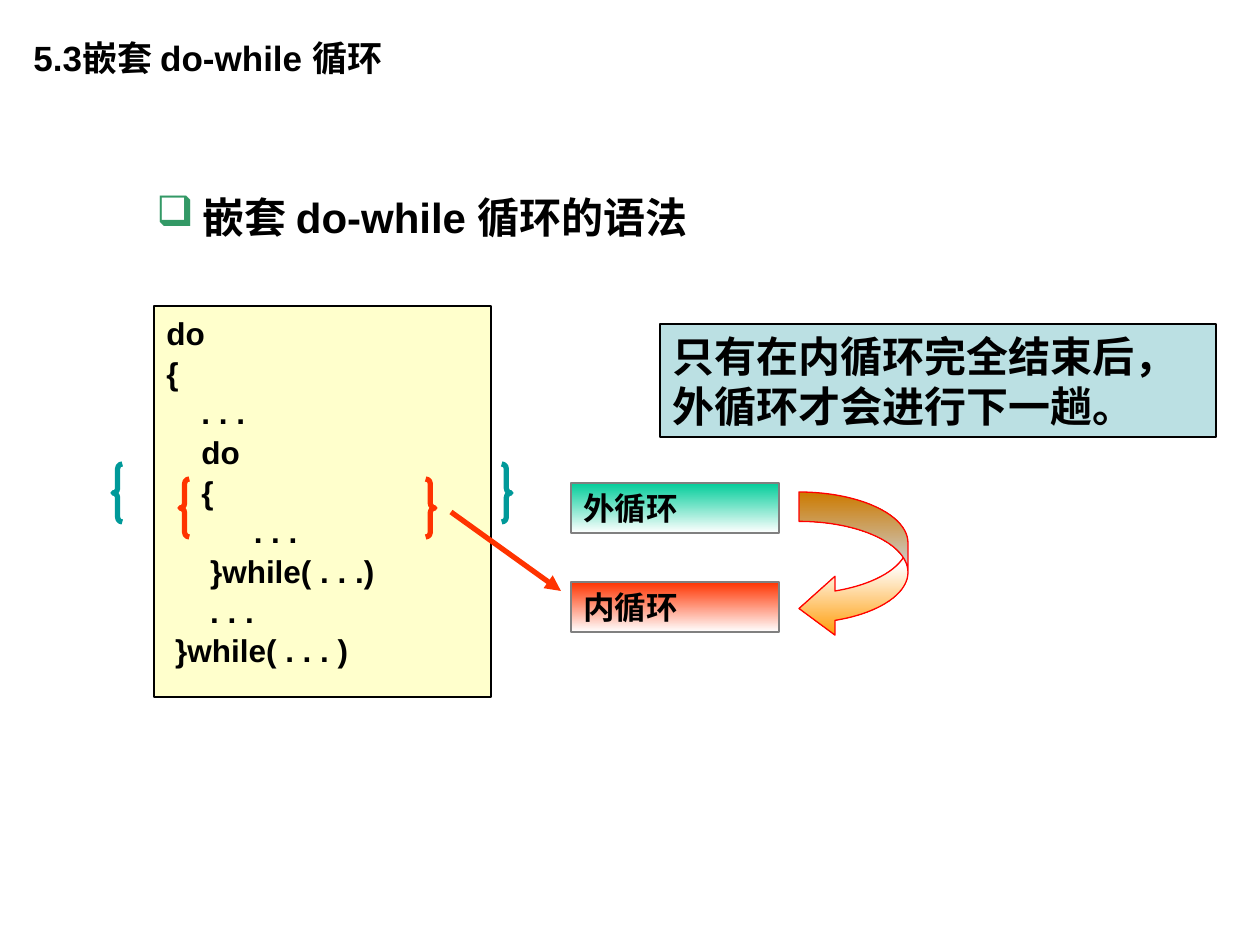
import copy

import pptx
import pptx.dml.color
import pptx.enum.shapes
import pptx.enum.text
import pptx.oxml
import pptx.oxml.ns
import pptx.util

SHAPE = pptx.enum.shapes.MSO_SHAPE
ANCHOR = pptx.enum.text.MSO_ANCHOR
ALIGN = pptx.enum.text.PP_ALIGN
qn = pptx.oxml.ns.qn
PX = 914400 // 126

THEME = {
    "font": "Arial", "ink": "000000", "bullet": "339966",
    "code": "FFFFCC", "note": "BBE0E3", "label_line": "808080",
    "outer": ["00CC99", "FFFFFF"], "inner": ["FF3300", "FFFFFF"],
    "outer_brace": "009999", "inner_brace": "FF3300",
    "turn": ["FF9900", "FFFFFF", "FF9900"], "turn_line": "FF0000",
    "title_size": 20, "head_size": 24, "body_size": 18,
}

TITLE = "5.3嵌套 do-while 循环"
HEADING = "嵌套 do-while 循环的语法"
NOTE = "只有在内循环完全结束后，外循环才会进行下一趟。"
CODE = [
    "do",
    "{",
    "    . . .",
    "    do",
    "    {",
    "          . . .",
    "     }while( . . .)",
    "     . . .",
    " }while( . . . )",
]
LABELS = [("外循环", "outer"), ("内循环", "inner")]
BRACES = [((113, 464, 398, 58), "outer_brace"), ((180, 479, 255, 58), "inner_brace")]
LABEL_BOX = (571, 483, 208, 50)
LABEL_STEP = 99
BULLET_INDENT = 46


def px(*values):
    return [pptx.util.Emu(v * PX) for v in values]


def rgb(name):
    return pptx.dml.color.RGBColor.from_string(THEME.get(name, name))


def put_text(sp, lines, size, anchor=ANCHOR.MIDDLE, spacing=None):
    tf = sp.text_frame
    for key, value in {"word_wrap": True, "vertical_anchor": anchor}.items():
        setattr(tf, key, value)
    for i, line in enumerate(lines):
        p = tf.add_paragraph() if i else tf.paragraphs[0]
        p.alignment = ALIGN.LEFT
        if spacing:
            p.line_spacing = spacing
        r = p.add_run()
        r.text = line
        font = {"name": THEME["font"], "size": pptx.util.Pt(THEME[size]), "bold": True}
        for key, value in font.items():
            setattr(r.font, key, value)
        r.font.color.rgb = rgb("ink")
    return tf


def add_bullet(p):
    pPr = p._p.get_or_add_pPr()
    indent = BULLET_INDENT * PX
    pPr.set("marL", str(indent))
    pPr.set("indent", str(-indent))
    color = pptx.oxml.parse_xml(
        '<a:buClr xmlns:a="http://schemas.openxmlformats.org/drawingml/2006/main">'
        f'<a:srgbClr val="{THEME["bullet"]}"/></a:buClr>')
    pPr.append(color)
    pPr.append(pPr.makeelement(qn("a:buChar"), {"char": "❑"}))


def fill_gradient(sp, colors):
    sp.fill.gradient()
    sp.fill.gradient_angle = 270
    stops = sp._element.spPr.find(qn("a:gradFill")).find(qn("a:gsLst"))
    while len(stops) < len(colors):
        stops.append(copy.deepcopy(stops[-1]))
    for i, (stop, color) in enumerate(zip(sp.fill.gradient_stops, colors)):
        stop.position = i / (len(colors) - 1)
        stop.color.rgb = rgb(color)


def add_shape(s, kind, box, line, width, fill=None):
    sp = s.shapes.add_shape(kind, *px(*box))
    sp.shadow.inherit = False
    sp.line.color.rgb = rgb(line)
    sp.line.width = pptx.util.Pt(width)
    if fill is None:
        sp.fill.background()
    elif isinstance(THEME[fill], list):
        fill_gradient(sp, THEME[fill])
    else:
        sp.fill.solid()
        sp.fill.fore_color.rgb = rgb(fill)
    return sp


def add_arrow(s, start, end, color, width):
    sp = s.shapes.add_connector(
        pptx.enum.shapes.MSO_CONNECTOR.STRAIGHT, *px(*start, *end))
    sp.line.color.rgb = rgb(color)
    sp.line.width = pptx.util.Pt(width)
    ln = sp.line._get_or_add_ln()
    ln.append(ln.makeelement(qn("a:tailEnd"), {"type": "triangle"}))
    spPr = sp._element.spPr
    spPr.append(spPr.makeelement(qn("a:effectLst"), {}))


def main():
    prs = pptx.Presentation()
    prs.slide_width, prs.slide_height = px(1260, 945)
    s = prs.slides.add_slide(prs.slide_layouts[6])

    put_text(s.shapes.add_textbox(*px(21, 0, 945, 116)), [TITLE], "title_size")
    tf = put_text(s.shapes.add_textbox(*px(144, 185, 873, 63)), [HEADING], "head_size")
    add_bullet(tf.paragraphs[0])

    code = add_shape(s, SHAPE.RECTANGLE, (154, 306, 337, 391), "ink", 1.5, "code")
    put_text(code, CODE, "body_size", ANCHOR.TOP, 1.05)

    for box, color in BRACES:
        brace = add_shape(s, SHAPE.DOUBLE_BRACE, box, color, 3)
        brace.adjustments[0] = 0.08

    x, y, w, h = LABEL_BOX
    for i, (text, fill) in enumerate(LABELS):
        box = (x, y + i * LABEL_STEP, w, h)
        label = add_shape(s, SHAPE.RECTANGLE, box, "label_line", 1, fill)
        put_text(label, [text], "body_size")

    add_arrow(s, (451, 512), (561, 591), "inner_brace", 3)

    turn = add_shape(s, SHAPE.CURVED_LEFT_ARROW, (799, 492, 109, 146),
                     "turn_line", 0.75, "turn")
    for i, value in enumerate((0.27, 0.54, 0.33)):
        turn.adjustments[i] = value

    note = add_shape(s, SHAPE.RECTANGLE, (660, 324, 556, 113), "ink", 1.25, "note")
    put_text(note, [NOTE], "head_size")

    prs.save("out.pptx")


if __name__ == "__main__":
    main()
